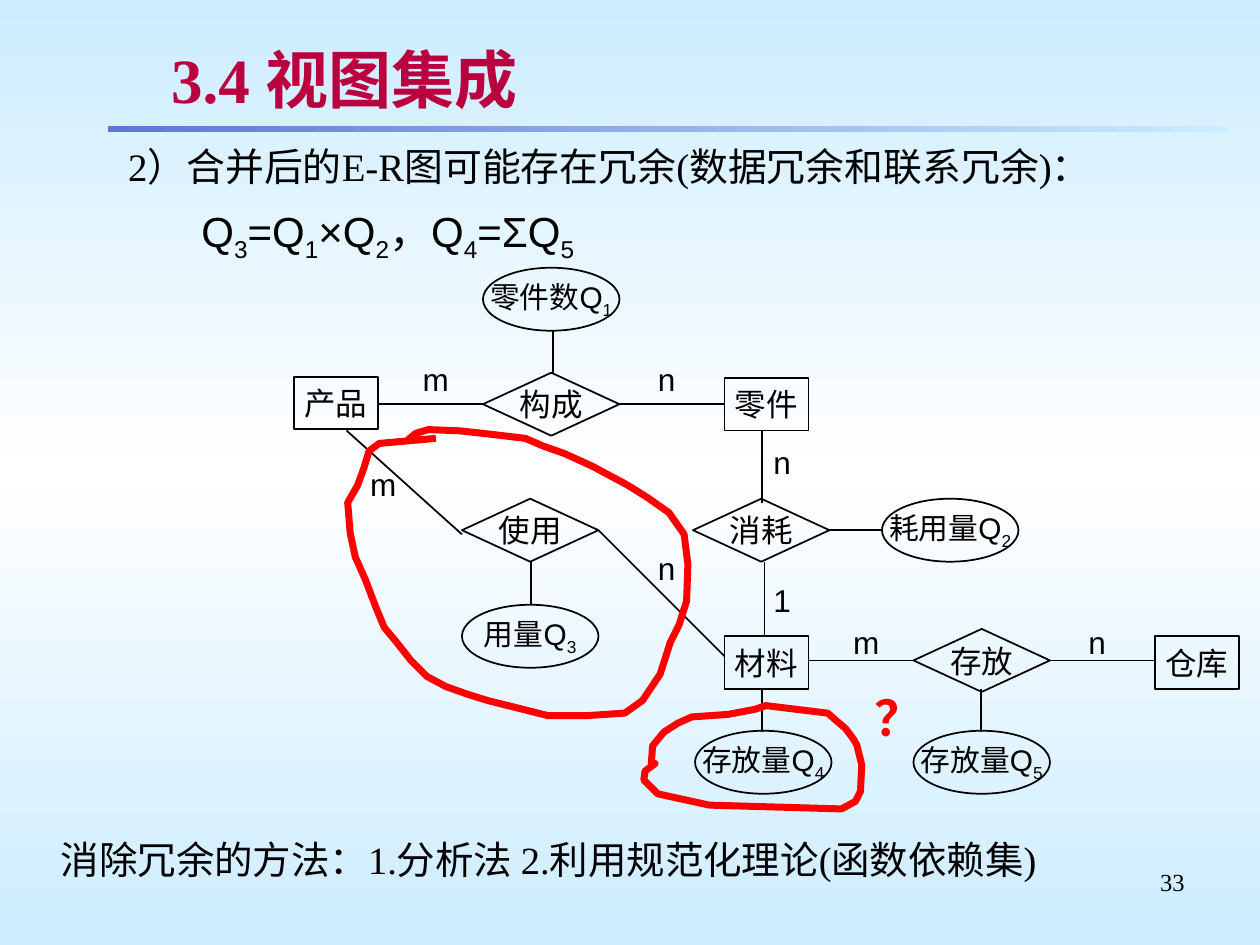
"""Build the view-integration slide with its merged E-R diagram and redundancy marks."""
from typing import Any, NamedTuple

import pptx
import pptx.dml.color
import pptx.enum.shapes
import pptx.enum.text
import pptx.oxml
import pptx.oxml.ns
import pptx.util

ALIGN = pptx.enum.text.PP_ALIGN
ANCHOR = pptx.enum.text.MSO_ANCHOR
SHAPE = pptx.enum.shapes.MSO_SHAPE
NS = pptx.oxml.ns.nsdecls("a")
COLORS = {"ink": "000000", "title": "BA003E", "mark": "FF0000", "shadow": "C0C0C0",
          "sky": "CCECFF", "white": "FFFFFF", "rule": "5F76D7"}
COLUMNS, ROWS = 120, 90
WIDTH, HEIGHT = pptx.util.Inches(10), pptx.util.Inches(7.5)


class Box(NamedTuple):
    x: float
    y: float
    w: float
    h: float


class Style(NamedTuple):
    size: float
    font: str = "Arial"
    color: str = "ink"
    bold: bool = False
    align: Any = ALIGN.LEFT
    anchor: Any = ANCHOR.TOP
    wrap: bool = True


class Node(NamedTuple):
    kind: str
    x: float
    y: float
    text: str


class Line(NamedTuple):
    x1: float
    y1: float
    x2: float
    y2: float


SERIF = "Times New Roman"
CENTRED = {"align": ALIGN.CENTER, "anchor": ANCHOR.MIDDLE, "wrap": False}
STYLES = {
    "title": Style(36, SERIF, "title", True, anchor=ANCHOR.MIDDLE),
    "body": Style(22.2, SERIF),
    "method": Style(22, SERIF),
    "number": Style(14, SERIF, align=ALIGN.RIGHT),
    "formula": Style(24),
    "question": Style(28, color="mark", bold=True),
    "label": Style(18, **CENTRED),
    "attribute": Style(17, **CENTRED),
}
KINDS = {
    "entity": (SHAPE.RECTANGLE, 8, 5, "label"),
    "relation": (SHAPE.FLOWCHART_DECISION, 13, 6, "label"),
    "attribute": (SHAPE.OVAL, 13, 6, "attribute"),
}
NODES = [
    Node("entity", 28, 35.9, "产品"), Node("entity", 69, 36, "零件"),
    Node("entity", 69, 60.6, "材料"), Node("entity", 110, 60.6, "仓库"),
    Node("relation", 46, 35.5, "构成"), Node("relation", 66, 47.5, "消耗"),
    Node("relation", 87, 59.9, "存放"), Node("relation", 44, 47.5, "使用"),
    Node("attribute", 46, 25.5, "零件数Q|1"), Node("attribute", 44, 57.6, "用量Q|3"),
    Node("attribute", 84, 47.5, "耗用量Q|2"), Node("attribute", 87, 69.6, "存放量Q|5"),
    Node("attribute", 66.2, 69.6, "存放量Q|4"),
]
LINES = [
    Line(46, 38.5, 36, 38.5), Line(69, 38.5, 59, 38.5), Line(72.6, 47.9, 72.6, 41),
    Line(72.8, 60.6, 72.8, 53.5), Line(87, 62.9, 77, 62.9), Line(110, 62.9, 100, 62.9),
    Line(52.7, 35.5, 52.7, 31.5), Line(69, 62.5, 57, 50.5), Line(44, 50.9, 33, 41),
    Line(84, 50.5, 79, 50.5), Line(50.6, 57.5, 50.6, 53.5), Line(93.4, 69.7, 93.4, 65.6),
    Line(72.6, 69.7, 72.6, 65.6),
]
CARDINALITIES = [
    ("m", 39, 33.6), ("n", 61, 33.6), ("m", 34, 43.6), ("m", 80, 58.6),
    ("n", 72, 41.5), ("n", 102, 58.6), ("n", 61, 51.6), ("1", 72, 54.6),
]
TEXTS = [
    ("method", Box(4.6, 79, 111, 8), "消除冗余的方法：1.分析法 2.利用规范化理论(函数依赖集)"),
    ("number", Box(86, 82, 28, 6.2), "33"),
    ("question", Box(82.1, 64.9, 4.1, 6.8), "？"),
    ("formula", Box(18, 19, 57, 6.7), "Q|3|=Q|1|×Q|2|，Q|4|=ΣQ|5"),
]
USAGE_LOOP = [
    (346, 348), (301, 352), (293, 358), (289, 371), (284, 385), (276, 399), (278, 423),
    (282, 442), (290, 460), (298, 481), (305, 498), (315, 510), (326, 524), (339, 537),
    (354, 545), (371, 551), (387, 556), (411, 562), (435, 568), (466, 568), (496, 566),
    (510, 556), (524, 535), (532, 510), (539, 496), (545, 477), (546, 448), (543, 424),
    (531, 407), (514, 395), (498, 385), (470, 370), (448, 360), (431, 354), (417, 348),
    (392, 345), (365, 342), (340, 341), (330, 344), (324, 349), (333, 346),
]
STORAGE_LOOP = [
    (517, 606), (518, 592), (527, 581), (538, 574), (549, 569), (578, 567), (599, 563),
    (608, 560), (657, 566), (665, 573), (671, 578), (677, 586), (680, 591), (684, 607),
    (683, 628), (679, 636), (668, 642), (563, 639), (522, 630), (511, 619), (512, 612),
    (516, 609), (520, 606), (517, 606),
]


def rgb(name: str) -> pptx.dml.color.RGBColor:
    """Return a named colour."""
    return pptx.dml.color.RGBColor.from_string(COLORS[name])


def place(x: float, y: float) -> tuple[int, int]:
    """Turn a grid column and row into slide lengths."""
    return round(x * WIDTH / COLUMNS), round(y * HEIGHT / ROWS)


def frame(box: Box) -> tuple[int, int, int, int]:
    """Turn a grid box into left, top, width and height."""
    return *place(box.x, box.y), *place(box.w, box.h)


def gradient(fill: Any, element: Any, stops: dict[int, str], angle: float) -> None:
    """Apply a linear gradient with any number of stops."""
    fill.gradient()
    fill.gradient_angle = angle
    gs_lst = element.find(".//" + pptx.oxml.ns.qn("a:gsLst"))
    for gs in list(gs_lst):
        gs_lst.remove(gs)
    for pos, name in stops.items():
        gs_lst.append(pptx.oxml.parse_xml(
            f'<a:gs {NS} pos="{pos * 1000}"><a:srgbClr val="{COLORS[name]}"/></a:gs>'))


def write(sp: Any, text: str, style: Style) -> Any:
    """Write one paragraph, where every second part between bars is a subscript."""
    tf = sp.text_frame
    p = tf.paragraphs[0]
    formats = {"word_wrap": style.wrap, "vertical_anchor": style.anchor,
               "auto_size": pptx.enum.text.MSO_AUTO_SIZE.NONE}
    for key, value in formats.items():
        setattr(tf, key, value)
    for key, value in {"alignment": style.align, "space_before": pptx.util.Pt(0)}.items():
        setattr(p, key, value)
    font = {"size": pptx.util.Pt(style.size), "name": style.font, "bold": style.bold}
    for i, part in enumerate(text.split("|")):
        r = p.add_run()
        r.text = part
        for key, value in font.items():
            setattr(r.font, key, value)
        r.font.color.rgb = rgb(style.color)
        if i % 2:
            r.font._element.set("baseline", "-25000")
    return p


def stroke(sp: Any, name: str, width: float) -> None:
    """Give a shape or connector a plain outline."""
    sp.line.color.rgb = rgb(name)
    sp.line.width = pptx.util.Pt(width)


def add_node(s: Any, node: Node) -> None:
    """Draw an entity, relation or attribute."""
    shape, w, h, style = KINDS[node.kind]
    sp = s.shapes.add_shape(shape, *frame(Box(node.x, node.y, w, h)))
    sp.shadow.inherit = False
    sp.fill.background()
    stroke(sp, "ink", 1)
    write(sp, node.text, STYLES[style])


def add_line(s: Any, line: Line) -> None:
    """Draw a straight link between two nodes."""
    sp = s.shapes.add_connector(pptx.enum.shapes.MSO_CONNECTOR.STRAIGHT,
                                *place(line.x1, line.y1), *place(line.x2, line.y2))
    stroke(sp, "ink", 1)
    sp._element.spPr.append(pptx.oxml.parse_xml(f"<a:effectLst {NS}/>"))


def add_loop(s: Any, points: list[tuple[int, int]]) -> None:
    """Draw a hand-drawn mark from points in hundredths of an inch."""
    builder = s.shapes.build_freeform(*points[0], scale=pptx.util.Inches(0.01))
    builder.add_line_segments(points[1:], close=False)
    sp = builder.convert_to_shape()
    sp.shadow.inherit = False
    sp.fill.background()
    stroke(sp, "mark", 4)


def add_heading(s: Any) -> None:
    """Fill the title and body placeholders and draw the rule."""
    title, body = s.placeholders
    for sp, box in ((title, Box(15.1, 3.5, 98.9, 8)), (body, Box(5, 13, 111, 6))):
        for key, value in zip(("left", "top", "width", "height"), frame(box)):
            setattr(sp, key, value)
    p = write(title, "3.4 视图集成", STYLES["title"])
    p.runs[0].font._element.find(pptx.oxml.ns.qn("a:solidFill")).addnext(pptx.oxml.parse_xml(
        f'<a:effectLst {NS}><a:outerShdw dist="25400" dir="2700000">'
        f'<a:srgbClr val="{COLORS["shadow"]}"/></a:outerShdw></a:effectLst>'))
    p = write(body, "2）合并后的E-R图可能存在冗余(数据冗余和联系冗余)：", STYLES["body"])
    p_pr = p._p.get_or_add_pPr()
    for key, inches in {"marL": 0.81, "indent": -0.31}.items():
        p_pr.set(key, str(pptx.util.Inches(inches)))
    p_pr.append(pptx.oxml.parse_xml(f"<a:buNone {NS}/>"))
    rule = s.shapes.add_shape(SHAPE.RECTANGLE, *frame(Box(10.3, 12, 106.7, 0.6)))
    rule.shadow.inherit = False
    rule.line.fill.background()
    gradient(rule.fill, rule._element, {0: "rule", 100: "sky"}, 0)


def main() -> None:
    """Build and save the slide."""
    prs = pptx.Presentation()
    prs.slide_width, prs.slide_height = WIDTH, HEIGHT
    s = prs.slides.add_slide(prs.slide_layouts[1])
    gradient(s.background.fill, s.element, {0: "sky", 50: "white", 100: "sky"}, 90)
    add_heading(s)
    for node in NODES:
        add_node(s, node)
    for line in LINES:
        add_line(s, line)
    labels = [("label", Box(x, y, 5, 5), text) for text, x, y in CARDINALITIES]
    for style, box, text in labels + TEXTS:
        write(s.shapes.add_textbox(*frame(box)), text, STYLES[style])
    for points in (USAGE_LOOP, STORAGE_LOOP):
        add_loop(s, points)
    prs.save("out.pptx")


if __name__ == "__main__":
    main()
